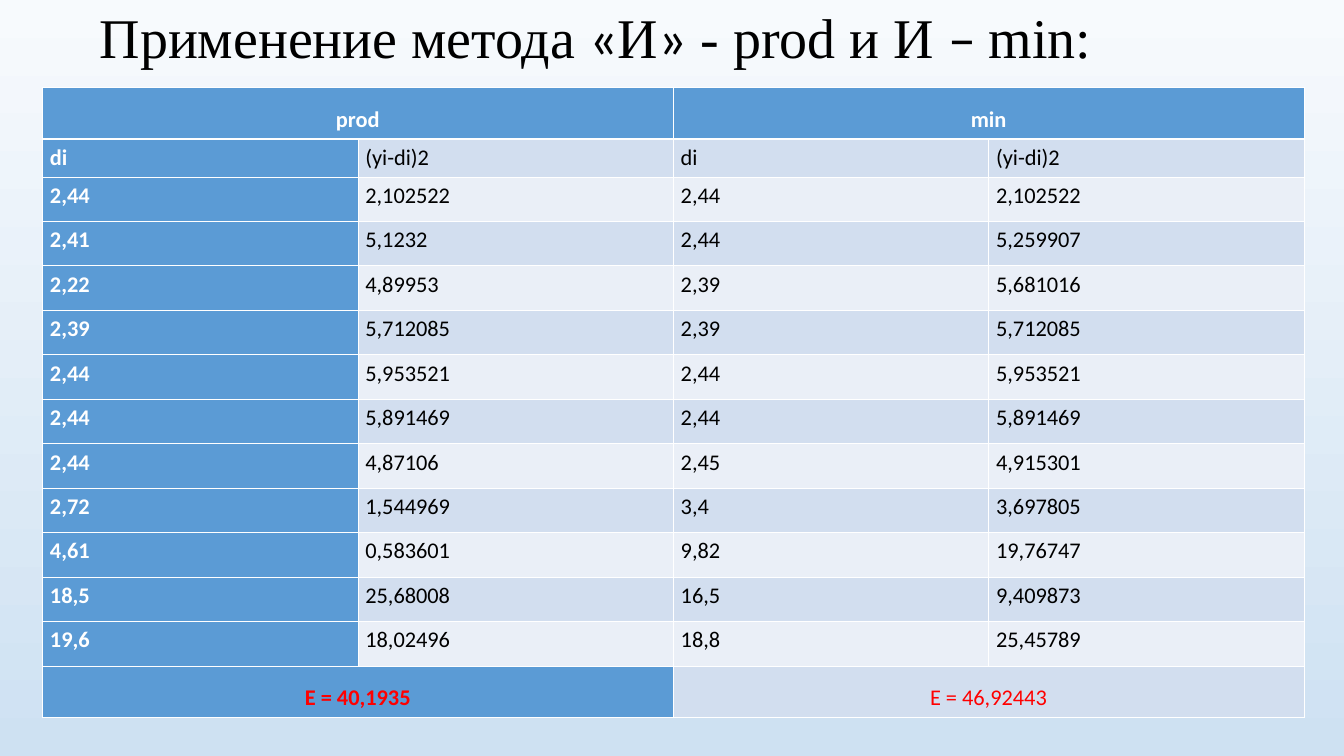
from dataclasses import dataclass

from lxml.etree import SubElement as Sub
from pptx import Presentation
from pptx.dml.color import RGBColor as Rgb
from pptx.enum.text import MSO_ANCHOR as Anchor, MSO_AUTO_SIZE as Auto, PP_ALIGN as Align
from pptx.oxml.ns import qn
from pptx.util import Cm, Pt

HUES = {
    "black": "000000", "white": "FFFFFF", "red": "FF0000",
    "blue": "5B9BD5", "dark": "D2DEEF", "light": "EAEFF7",
    "top": "F7FAFD", "base": "CEE1F2",
}
SERIF, SANS = "Times New Roman", "Calibri"
THIN, THICK = 0.45, 1.47

TITLE = [
    ("Применение метода ", SERIF), ("«", SANS), ("И", SERIF), ("»", SANS),
    (" - prod и И ", SERIF), ("– ", SANS), ("min:", SERIF),
]


@dataclass(frozen=True)
class Row:
    texts: tuple[str, ...]
    tall: float = 1.12
    kind: str = "data"


ROWS = [
    Row(("prod", "min"), 1.27, "head"),
    Row(("di", "(yi-di)2", "di", "(yi-di)2"), 0.92),
    Row(("2,44", "2,102522", "2,44", "2,102522")),
    Row(("2,41", "5,1232", "2,44", "5,259907")),
    Row(("2,22", "4,89953", "2,39", "5,681016")),
    Row(("2,39", "5,712085", "2,39", "5,712085")),
    Row(("2,44", "5,953521", "2,44", "5,953521")),
    Row(("2,44", "5,891469", "2,44", "5,891469")),
    Row(("2,44", "4,87106", "2,45", "4,915301")),
    Row(("2,72", "1,544969", "3,4", "3,697805")),
    Row(("4,61", "0,583601", "9,82", "19,76747")),
    Row(("18,5", "25,68008", "16,5", "9,409873")),
    Row(("19,6", "18,02496", "18,8", "25,45789")),
    Row(("E = 40,1935", "E = 46,92443"), 1.27, "total"),
]


def tint(name: str) -> Rgb:
    return Rgb.from_string(HUES[name])


def write(para, text: str, *, font: str = SANS, size: float = 16,
          hue: str = "black", bold: bool = False) -> None:
    run = para.add_run()
    run.text = text
    run.font.name = font
    run.font.size = Pt(size)
    run.font.bold = bold
    run.font.color.rgb = tint(hue)


def edge(cell, row: int) -> None:
    props = cell._tc.get_or_add_tcPr()
    wide = {"lnT": row == 1, "lnB": row == 0}
    for side in ("lnL", "lnR", "lnT", "lnB"):
        width = THICK if wide.get(side) else THIN
        line = Sub(props, qn(f"a:{side}"), w=str(Pt(width)))
        Sub(Sub(line, qn("a:solidFill")), qn("a:srgbClr"), val=HUES["white"])


def paint(slide) -> None:
    fill = slide.background.fill
    fill.gradient()
    fill.gradient_angle = 270
    for stop, name in zip(fill.gradient_stops, ("top", "base")):
        stop.color.rgb = tint(name)


def head(slide) -> None:
    title = slide.shapes.title
    title.left, title.top, title.width, title.height = Cm(2.26), Cm(0.3), Cm(29.21), Cm(1.42)
    frame = title.text_frame
    frame.word_wrap = True
    frame.auto_size = Auto.NONE
    frame.vertical_anchor = Anchor.MIDDLE
    para = frame.paragraphs[0]
    para.alignment = Align.LEFT
    para.line_spacing = 0.9
    for text, font in TITLE:
        write(para, text, font=font, size=40)


def grid(slide) -> None:
    tall = sum(row.tall for row in ROWS)
    table = slide.shapes.add_table(len(ROWS), 4, Cm(1.07), Cm(2.21), Cm(31.8), Cm(tall)).table
    for y, row in enumerate(ROWS):
        table.rows[y].height = Cm(row.tall)
        span = 4 // len(row.texts)
        for x in range(4):
            cell = table.cell(y, x)
            edge(cell, y)
            blue = x < span and x < 2 or row.kind == "head"
            cell.fill.solid()
            cell.fill.fore_color.rgb = tint("blue" if blue else "dark" if y % 2 else "light")
            cell.margin_left = cell.margin_right = Cm(0.19)
            cell.margin_top = cell.margin_bottom = Cm(0.13)
            cell.vertical_anchor = Anchor.TOP
            if x % span:
                continue
            if span > 1:
                cell.merge(table.cell(y, x + span - 1))
            para = cell.text_frame.paragraphs[0]
            para.alignment = Align.CENTER if span > 1 else Align.LEFT
            para.line_spacing = 1.5 if span > 1 else 1.0
            hue = "red" if row.kind == "total" else "white" if blue else "black"
            write(para, row.texts[x // span], hue=hue, bold=blue)


def main() -> None:
    deck = Presentation()
    deck.slide_width, deck.slide_height = Cm(33.88), Cm(19.05)
    slide = deck.slides.add_slide(deck.slide_layouts[5])
    paint(slide)
    head(slide)
    grid(slide)
    deck.save("out.pptx")


if __name__ == "__main__":
    main()
